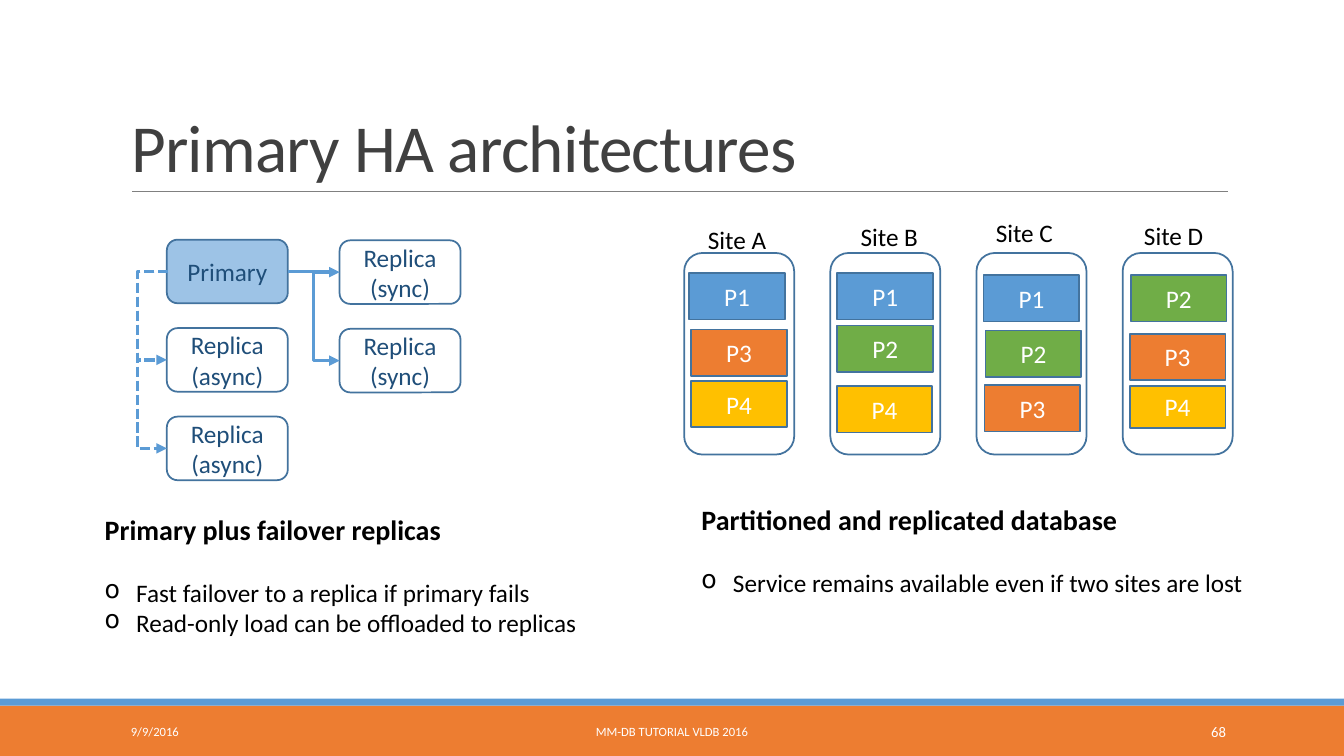
from lxml import etree
from pptx import Presentation
from pptx.dml.color import RGBColor
from pptx.enum import dml, shapes, text
from pptx.oxml import ns
from pptx.util import Pt

WHITE = RGBColor(0xFF, 0xFF, 0xFF)
BLACK = RGBColor(0x00, 0x00, 0x00)
TITLE_GREY = RGBColor(0x40, 0x40, 0x40)
RULE_GREY = RGBColor(0x80, 0x80, 0x80)
BLUE = RGBColor(0x5B, 0x9B, 0xD5)
LIGHT_BLUE = RGBColor(0x9D, 0xC3, 0xE6)
EDGE_BLUE = RGBColor(0x43, 0x73, 0x9E)
DARK_BLUE = RGBColor(0x1F, 0x4E, 0x79)
GREEN = RGBColor(0x70, 0xAD, 0x47)
ORANGE = RGBColor(0xED, 0x7D, 0x31)
YELLOW = RGBColor(0xFF, 0xC0, 0x00)

RECT = shapes.MSO_SHAPE.RECTANGLE
ROUNDED = shapes.MSO_SHAPE.ROUNDED_RECTANGLE
LEFT, CENTER, RIGHT = text.PP_ALIGN.LEFT, text.PP_ALIGN.CENTER, text.PP_ALIGN.RIGHT
TOP, MIDDLE, BOTTOM = text.MSO_ANCHOR.TOP, text.MSO_ANCHOR.MIDDLE, text.MSO_ANCHOR.BOTTOM

PARTITION_FILLS = {"P1": BLUE, "P2": GREEN, "P3": ORANGE, "P4": YELLOW}
# Site name, its label's offset, then each partition with its offset in the site
SITES = [
    ("Site A", (3.6, -23.8), [("P1", 3.6, 14.4), ("P3", 5, 54.7), ("P4", 5, 91.4)]),
    ("Site B", (7.9, -25.9), [("P1", 5, 14.4), ("P2", 5, 51.8), ("P4", 4.5, 95)]),
    ("Site C", (0, -28.8), [("P1", 5, 15.8), ("P2", 6.5, 55.4), ("P3", 5.8, 94.3)]),
    ("Site D", (2.2, -26.6), [("P2", 5.8, 15.8), ("P3", 5, 57.6), ("P4", 5, 95)]),
]


def points(*lengths):
    return [Pt(length) for length in lengths]


def format_font(font, size, color, bold=False):
    values = {"name": "Calibri", "size": Pt(size), "bold": bold}
    for attribute, value in values.items():
        setattr(font, attribute, value)
    font.color.rgb = color


def write(frame, wording, size, color, align=LEFT, anchor=TOP):
    frame.word_wrap = True
    frame.vertical_anchor = anchor
    line = frame.paragraphs[0]
    line.text = wording
    line.alignment = align
    format_font(line.font, size, color)


def add_label(slide, box, wording, size, color, align=LEFT, anchor=TOP):
    label = slide.shapes.add_textbox(*points(*box))
    write(label.text_frame, wording, size, color, align, anchor)


def add_block(slide, kind, box, fill=None, edge=None, wording="", color=WHITE):
    block = slide.shapes.add_shape(kind, *points(*box))
    block.shadow.inherit = False
    if fill is None:
        block.fill.background()
    else:
        block.fill.solid()
        block.fill.fore_color.rgb = fill
    if edge is None:
        block.line.fill.background()
    else:
        block.line.color.rgb = edge
        block.line.width = Pt(1.25)
    if wording:
        write(block.text_frame, wording, 18, color, CENTER, MIDDLE)
    return block


def add_line(slide, kind, ends, color, width):
    line = slide.shapes.add_connector(kind, *points(*ends))
    line.line.color.rgb = color
    line.line.width = Pt(width)
    etree.SubElement(line._element.spPr, ns.qn("a:effectLst"))
    return line


def add_elbow_arrow(slide, ends, bend=0.5, dashed=False):
    """Bend is the turning point as a share of the arrow's width."""
    arrow = add_line(slide, shapes.MSO_CONNECTOR.ELBOW, ends, BLUE, 2.5)
    if dashed:
        arrow.line.dash_style = dml.MSO_LINE.SQUARE_DOT
    properties = arrow._element.spPr
    etree.SubElement(properties.find(ns.qn("a:ln")), ns.qn("a:tailEnd"), type="triangle")
    adjustments = properties.find(ns.qn("a:prstGeom")).get_or_add_avLst()
    etree.SubElement(adjustments, ns.qn("a:gd"), name="adj1",
                     fmla=f"val {round(bend * 100000)}")
    return arrow


def add_heading(slide, left, top, width, height):
    title = slide.shapes.title
    box = zip(("left", "top", "width", "height"), points(left, top, width, height))
    for attribute, value in box:
        setattr(title, attribute, value)
    frame = title.text_frame
    write(frame, "Primary HA architectures", 48, TITLE_GREY, LEFT, BOTTOM)
    frame.auto_size = text.MSO_AUTO_SIZE.NONE
    line = frame.paragraphs[0]
    line.line_spacing = 0.85
    line.runs[0]._r.get_or_add_rPr().set("spc", "-50")
    rule = top + height
    add_line(slide, shapes.MSO_CONNECTOR.STRAIGHT,
             (left + 8, rule, left + width - 1, rule), RULE_GREY, 0.5)


def add_footer(slide, left, top, width, height):
    add_block(slide, RECT, (left, top, width, height), ORANGE)
    add_block(slide, RECT, (left, top - 5, width, 5), BLUE)
    for wording, offset, room, size, align in [
        ("9/9/2016", 86.4, 194.4, 9, LEFT),
        ("MM-DB TUTORIAL VLDB 2016", 290.2, 379.4, 9, CENTER),
        ("68", 779.8, 103, 10.5, RIGHT),
    ]:
        add_label(slide, (left + offset, top + 4.3, room, 28.8),
                  wording, size, WHITE, align, MIDDLE)


def add_failover(slide, left, top):
    width, height, row_step, column_step = 86.4, 45.4, 63.2, 123.4

    def add_node(column, row, wording, fill=None):
        box = (left + column * column_step, top + row * row_step + column * 0.5,
               width, height)
        return add_block(slide, ROUNDED, box, fill, EDGE_BLUE, wording, DARK_BLUE)

    primary = add_node(0, 0, "Primary", LIGHT_BLUE)
    middle = top + height / 2
    for row in (0, 1):
        replica = add_node(1, row, "Replica (sync)")
        arrow = add_elbow_arrow(slide, (left + width, middle, left + column_step,
                                        middle + row * row_step + 0.5))
        arrow.begin_connect(primary, 3)
        arrow.end_connect(replica, 1)
    for row in (1, 2):
        add_node(0, row, "Replica (async)")
        add_elbow_arrow(slide, (left + 1, middle, left, middle + row * row_step),
                        bend=22, dashed=True)


def add_sites(slide, left, top):
    step, width, height = 104.4, 78.6, 144
    for index, (name, (label_x, label_y), partitions) in enumerate(SITES):
        site_left = left + index * step
        add_block(slide, ROUNDED, (site_left, top, width, height), edge=EDGE_BLUE)
        add_label(slide, (site_left + label_x, top + label_y, 68.4, 28.8),
                  name, 18, BLACK, CENTER)
        for partition, x, y in partitions:
            tall = 29.8 if (name, partition) == ("Site D", "P4") else 33.2
            add_block(slide, RECT, (site_left + x, top + y, 68.4, tall),
                      PARTITION_FILLS[partition], EDGE_BLUE, partition)


def add_summary(slide, box, heading, benefits):
    summary = slide.shapes.add_textbox(*points(*box))
    frame = summary.text_frame
    write(frame, heading, 20, BLACK)
    frame.paragraphs[0].font.bold = True
    for index, benefit in enumerate(benefits):
        line = frame.add_paragraph()
        line.text = benefit
        properties = line._p.get_or_add_pPr()
        properties.set("marL", str(Pt(22.5)))
        properties.set("indent", str(-Pt(22.5)))
        etree.SubElement(properties, ns.qn("a:buChar"), char="o")
        if index == 0:
            line.space_before = Pt(22)
        format_font(line.font, 18, BLACK)


def main():
    deck = Presentation()
    deck.slide_width, deck.slide_height = points(960, 540)
    slide = deck.slides.add_slide(deck.slide_layouts[5])
    add_footer(slide, 0, 504, 960, 36)
    add_heading(slide, 86.4, 22.6, 792, 114.2)
    add_failover(slide, 119.2, 171.2)
    add_sites(slide, 488.7, 180.7)
    add_summary(slide, (494, 355.7, 404, 75), "Partitioned and replicated database",
                ["Service remains available even if two sites are lost"])
    add_summary(slide, (67.7, 362.9, 379.4, 97), "Primary plus failover replicas",
                ["Fast failover to a replica if primary fails",
                 "Read-only load can be offloaded to replicas"])
    deck.save("out.pptx")


if __name__ == "__main__":
    main()
